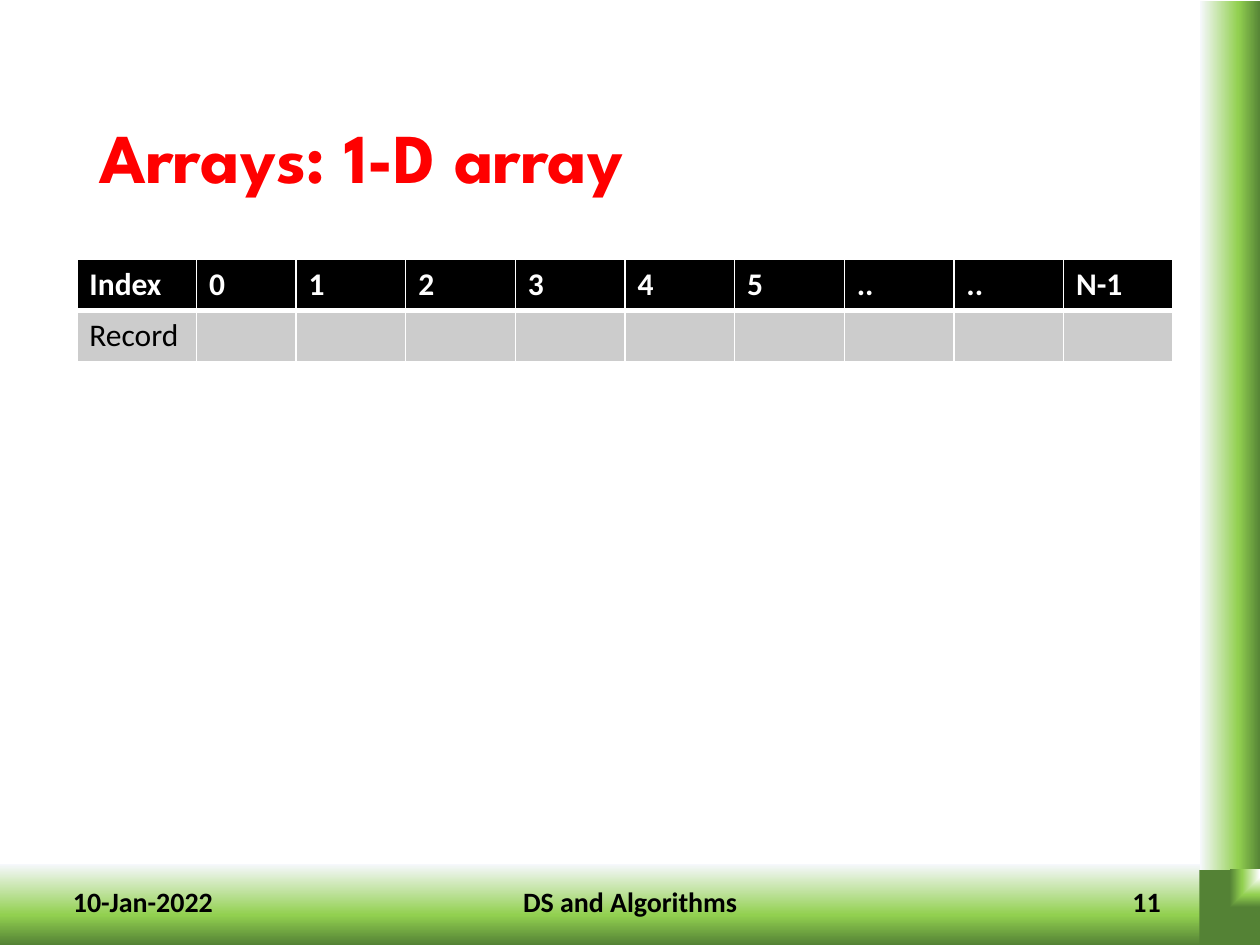
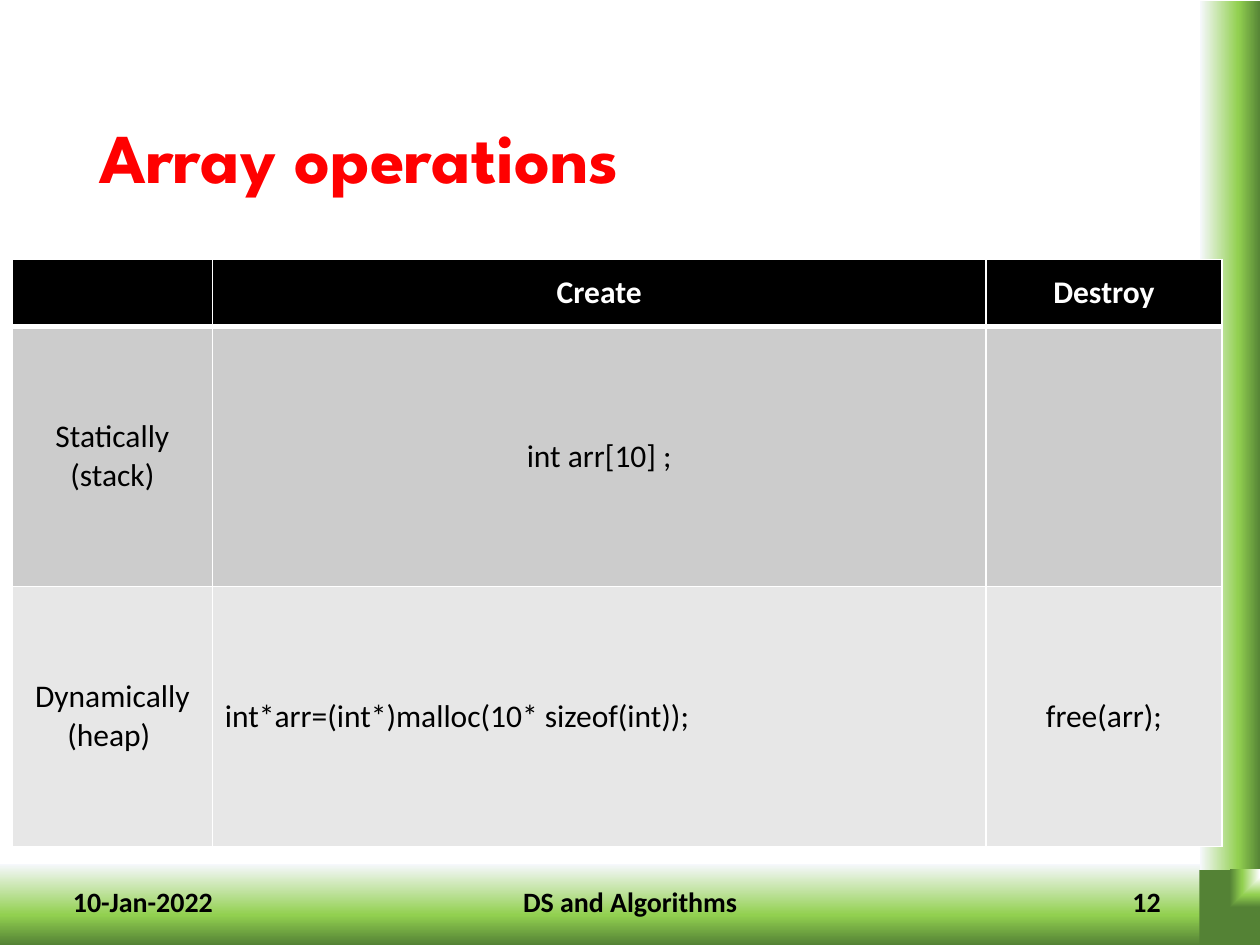
from pptx import Presentation
from pptx.dml.color import RGBColor as RGB
from pptx.enum.shapes import MSO_SHAPE as Shape
from pptx.enum.text import MSO_ANCHOR as Anchor, PP_ALIGN as Align
from pptx.oxml import parse_xml
from pptx.oxml.ns import nsdecls
from pptx.util import Cm, Pt

COLORS = {
    "white": "FFFFFF", "black": "000000", "red": "FF0000",
    "mist": "F6F8FC", "lime": "92D050", "moss": "548235",
    "dark": "CCCCCC", "pale": "E7E7E7",
}
LEFT, MID, RIGHT = Align.LEFT, Align.CENTER, Align.RIGHT
LINEAR = '<a:lin ang="5400000" scaled="0"/>'
CORNER = '<a:path path="rect"><a:fillToRect l="100000" b="100000"/></a:path>'


class Deck:
    """Holds the shared style and the current slide."""
    head, body = "League Spartan", "Calibri"

    def __init__(self):
        self.prs = Presentation()
        self.prs.slide_width, self.prs.slide_height = Cm(25.4), Cm(19.05)
        self.slide = None

    def page(self, title, number):
        self.slide = self.prs.slides.add_slide(self.prs.slide_layouts[6])
        # Green frame: bottom band, side band, corner
        self.band(-0.18, 17.42, 25.58, 1.63)
        self.band(15.98, 8.23, 17.65, 1.22, turn=270)
        self.band(24.03, 17.68, 1.52, 1.22, turn=270,
                  first="white", mid=58, way=CORNER)
        # Title
        self.text(title, 1.75, 1.4, 21.9, 3.68, 40, "red", self.head, space=0.9)
        # Footer
        for words, x, w, align in (("10-Jan-2022", 1.22, 5.72, LEFT),
                                   ("DS and Algorithms", 8.41, 8.59, MID),
                                   (str(number), 17.93, 5.72, RIGHT)):
            self.text(words, x, 17.65, w, 1.02, 16, "black", self.body, align)

    def band(self, x, y, w, h, turn=0, first="mist", mid=63, way=LINEAR):
        box = self.slide.shapes.add_shape(Shape.RECTANGLE, Cm(x), Cm(y), Cm(w), Cm(h))
        box.rotation = turn
        box.shadow.inherit = False
        box.line.fill.background()
        stops = "".join(
            f'<a:gs pos="{pos * 1000}"><a:srgbClr val="{COLORS[name]}"/></a:gs>'
            for pos, name in ((0, first), (mid, "lime"), (100, "moss")))
        fill = parse_xml(f'<a:gradFill {nsdecls("a")} rotWithShape="1">'
                         f'<a:gsLst>{stops}</a:gsLst>{way}</a:gradFill>')
        box._element.spPr.find(".//{*}prstGeom").addnext(fill)

    def style(self, para, size, color, font, bold, align):
        para.alignment = align
        para.font.size, para.font.name, para.font.bold = Pt(size), font, bold
        para.font.color.rgb = RGB.from_string(COLORS[color])

    def text(self, words, x, y, w, h, size, color, font, align=LEFT, space=None):
        frame = self.slide.shapes.add_textbox(Cm(x), Cm(y), Cm(w), Cm(h)).text_frame
        frame.word_wrap = True
        frame.vertical_anchor = Anchor.MIDDLE
        frame.text = words
        para = frame.paragraphs[0]
        para.line_spacing = space
        self.style(para, size, color, font, True, align)

    def table(self, x, y, cols, rows, data, align=LEFT, anchor=Anchor.TOP, lefts=()):
        grid = self.slide.shapes.add_table(
            len(rows), len(cols), Cm(x), Cm(y), Cm(sum(cols)), Cm(sum(rows))).table
        for col, w in zip(grid.columns, cols):
            col.width = Cm(w)
        for r, (h, line) in enumerate(zip(rows, data)):
            grid.rows[r].height = Cm(h)
            for c, words in enumerate(line):
                side = LEFT if (r, c) in lefts else align
                self.cell(grid.cell(r, c), words, r, side, anchor)

    def cell(self, cell, words, row, align, anchor):
        cell.text = words
        cell.vertical_anchor = anchor
        for para in cell.text_frame.paragraphs:
            self.style(para, 18, "black" if row else "white", self.body, not row, align)
        cell.fill.solid()
        shade = ("black", "dark", "pale")[row]
        cell.fill.fore_color.rgb = RGB.from_string(COLORS[shade])
        # White borders, heavier under the header
        heavy = {0: "B", 1: "T"}.get(row)
        for i, edge in enumerate("LRTB"):
            wide = Pt(3 if edge == heavy else 1)
            cell._tc.tcPr.insert(i, parse_xml(
                f'<a:ln{edge} {nsdecls("a")} w="{wide}"><a:solidFill>'
                f'<a:srgbClr val="{COLORS["white"]}"/></a:solidFill></a:ln{edge}>'))


def main():
    deck = Deck()

    # One-dimensional array
    deck.page("Arrays: 1-D array", 11)
    index = ["Index", *map(str, range(6)), "..", "..", "N-1"]
    deck.table(1.55, 5.23, [2.41, 2.01] + [2.21] * 8, [1.03] * 2,
               [index, ["Record"] + [""] * 9])

    # Create and destroy
    deck.page("Array operations", 12)
    deck.table(0.25, 5.23, [4.03, 15.6, 4.75], [1.35, 5.24, 5.24], [
        ["", "Create", "Destroy"],
        ["Statically\n(stack)", "int arr[10] ;", ""],
        ["Dynamically\n(heap) ", "int*arr=(int*)malloc(10* sizeof(int));", "free(arr);"],
    ], MID, Anchor.MIDDLE, lefts=[(2, 1)])

    deck.prs.save("out.pptx")


if __name__ == "__main__":
    main()
